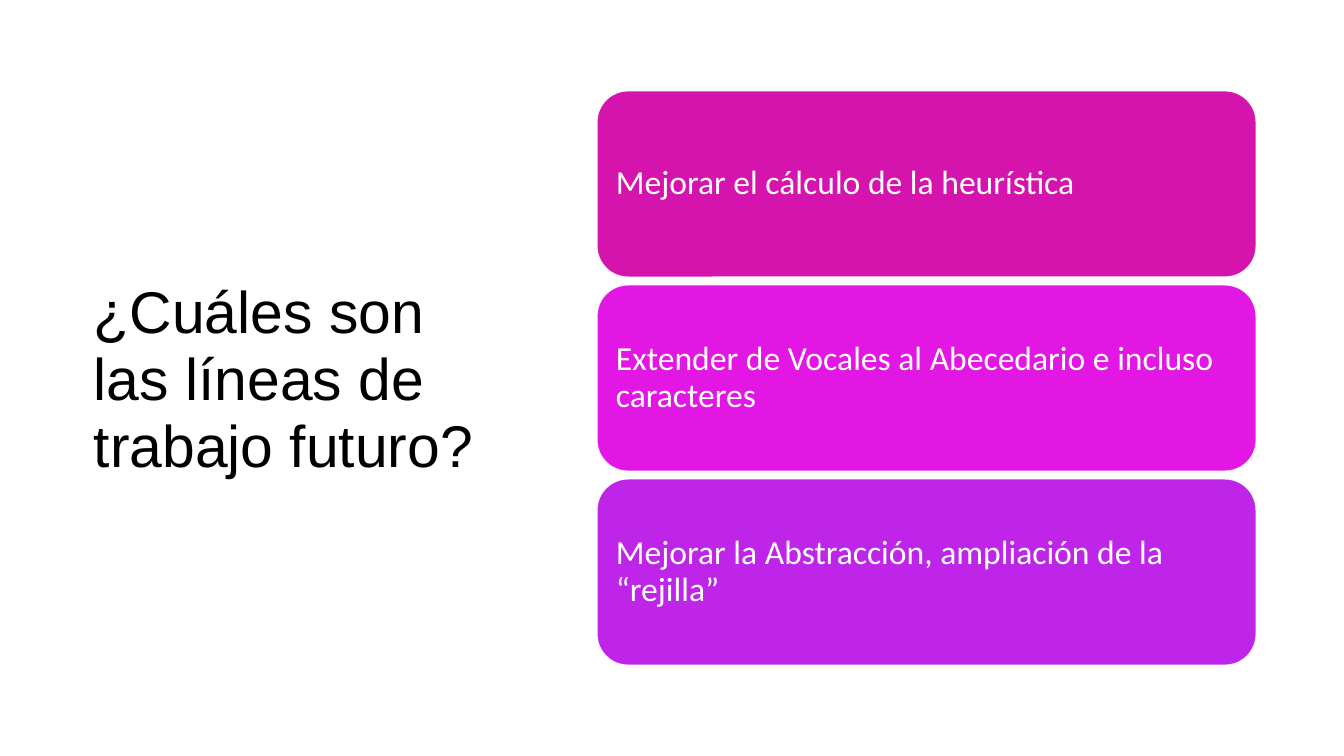
from pptx import Presentation
from pptx import util as u
from pptx.dml import color
from pptx.enum import shapes, text

PX = 9144
BLACK = color.RGBColor(0x00, 0x00, 0x00)
WHITE = color.RGBColor(0xFF, 0xFF, 0xFF)
MAGENTA = color.RGBColor(0xD5, 0x14, 0xAD)
FUCHSIA = color.RGBColor(0xE3, 0x17, 0xE4)
VIOLET = color.RGBColor(0xBF, 0x25, 0xE8)

FUTURE_WORK = [
    ("Mejorar el cálculo de la heurística", MAGENTA),
    ("Extender de Vocales al Abecedario e incluso caracteres", FUCHSIA),
    ("Mejorar la Abstracción, ampliación de la “rejilla”", VIOLET),
]


def px(length):
    """Turn a length in px into EMU."""
    return u.Emu(round(length * PX))


def write(shape, words, *, font, size, ink, spacing, inset_x=10, inset_y=10):
    """Put left-aligned, vertically centred text into a shape."""
    frame = shape.text_frame
    frame.word_wrap = True
    frame.auto_size = text.MSO_AUTO_SIZE.NONE
    frame.vertical_anchor = text.MSO_ANCHOR.MIDDLE
    frame.margin_left = frame.margin_right = px(inset_x)
    frame.margin_top = frame.margin_bottom = px(inset_y)
    para = frame.paragraphs[0]
    para.alignment = text.PP_ALIGN.LEFT
    para.line_spacing = spacing
    span = para.add_run()
    span.text = words
    span.font.name = font
    span.font.size = u.Pt(size)
    span.font.color.rgb = ink


def place_title(page, box, words):
    """Move the title placeholder into the box and fill it."""
    title = page.shapes.title
    title.left, title.top, title.width, title.height = map(px, box)
    write(title, words, font="Arial", size=42, ink=BLACK, spacing=0.95, inset_y=5)


def place_cards(page, box, items, card_height=185):
    """Stack one rounded card per item, evenly spread over the box."""
    left, top, width, height = box
    step = (height - card_height) / (len(items) - 1)
    for index, (words, fill) in enumerate(items):
        card = page.shapes.add_shape(
            shapes.MSO_SHAPE.ROUNDED_RECTANGLE,
            px(left), px(top + index * step), px(width), px(card_height),
        )
        card.shadow.inherit = False
        card.fill.solid()
        card.fill.fore_color.rgb = fill
        card.line.color.rgb = WHITE
        card.line.width = u.Pt(1)
        write(card, words, font="Calibri", size=24, ink=WHITE, spacing=0.9)


def main():
    """Build the deck and save it."""
    deck = Presentation()
    deck.slide_width, deck.slide_height = px(1333), px(750)
    page = deck.slides.add_slide(deck.slide_layouts[5])
    page.background.fill.solid()
    page.background.fill.fore_color.rgb = WHITE
    place_title(page, (83, 85, 427, 584), "¿Cuáles son las líneas de trabajo futuro?")
    place_cards(page, (592, 90, 654, 570), FUTURE_WORK)
    deck.save("out.pptx")


if __name__ == "__main__":
    main()
